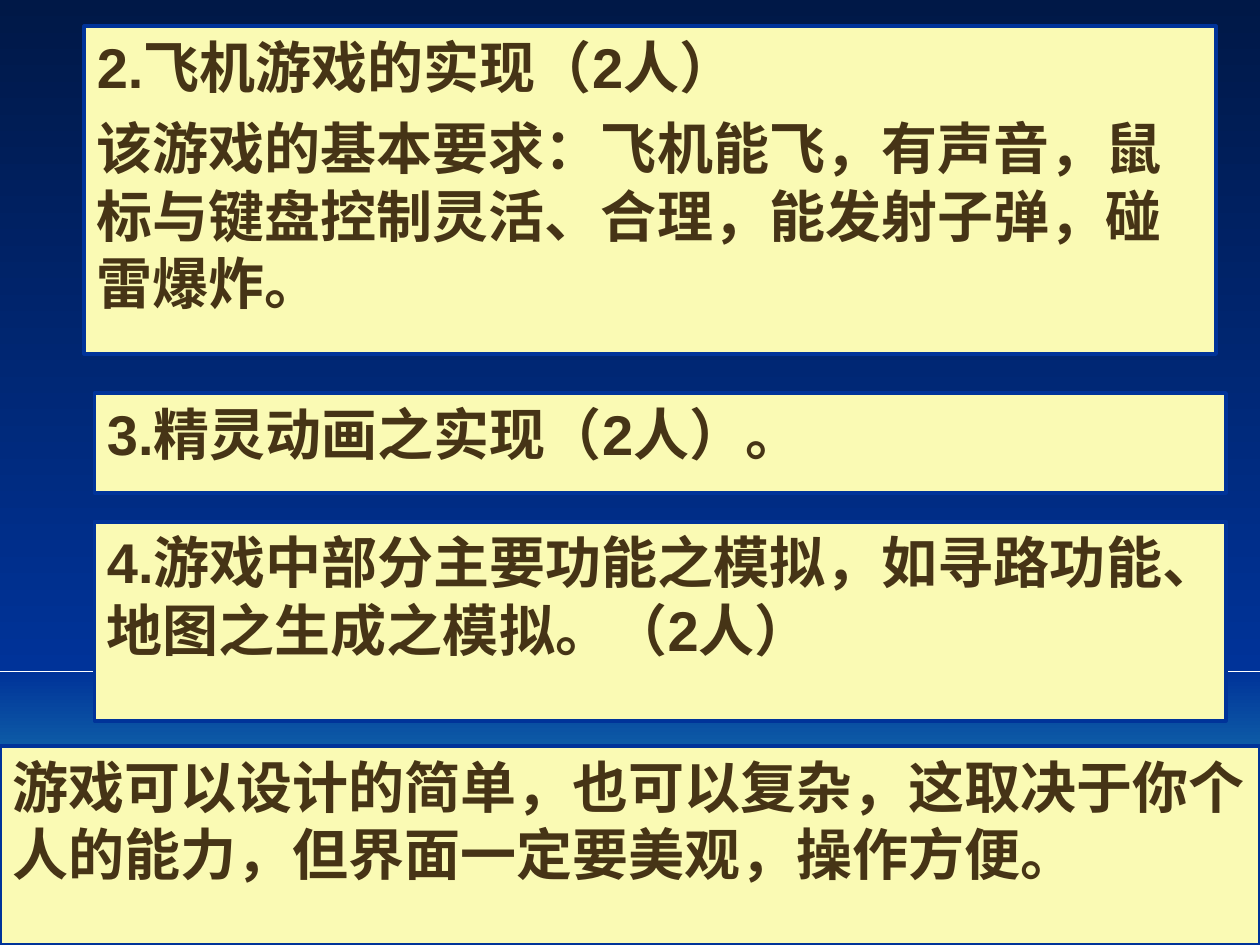
from pptx import Presentation
from pptx.dml.color import RGBColor
from pptx.enum.shapes import MSO_SHAPE
from pptx.enum.text import MSO_ANCHOR, PP_ALIGN
from pptx.util import Inches, Pt

RECTANGLE = MSO_SHAPE.RECTANGLE
TOP = MSO_ANCHOR.TOP
LEFT = PP_ALIGN.LEFT

COLORS = {
    "night": "001847",
    "blue": "003399",
    "turquoise": "33CCCC",
    "cream": "FAFAB4",
    "brown": "463416",
}


def color(name):
    return RGBColor.from_string(COLORS[name])


def add_rectangle(left, top, width, height):
    shape = slide.shapes.add_shape(
        RECTANGLE, Inches(left), Inches(top), Inches(width), Inches(height))
    shape.shadow.inherit = False
    return shape


presentation = Presentation()
presentation.slide_width = Inches(10)
presentation.slide_height = Inches(7.5)
slide = presentation.slides.add_slide(presentation.slide_layouts[6])

# Sky above, sea below: vertical gradients
horizon = 5.33
bands = [
    (0, horizon, "night", "blue"),
    (horizon, 7.5 - horizon, "blue", "turquoise"),
]
for top, height, upper, lower in bands:
    band = add_rectangle(0, top, 10, height)
    band.line.fill.background()
    band.fill.gradient()
    band.fill.gradient_angle = 270
    for stop, name, position in zip(band.fill.gradient_stops, (upper, lower), (0, 1)):
        stop.color.rgb = color(name)
        stop.position = position

# Task boxes and closing remark
boxes = [
    (0.67, 0.21, 8.98, 2.6, [
        "2.飞机游戏的实现（2人）",
        "该游戏的基本要求：飞机能飞，有声音，鼠标与键盘控制灵活、合理，能发射子弹，碰雷爆炸。",
    ]),
    (0.75, 3.12, 8.98, 0.79, ["3.精灵动画之实现（2人）。"]),
    (0.75, 4.14, 8.98, 1.58, [
        "4.游戏中部分主要功能之模拟，如寻路功能、地图之生成之模拟。（2人）",
    ]),
    (0, 5.92, 10, 1.58, [
        "游戏可以设计的简单，也可以复杂，这取决于你个人的能力，但界面一定要美观，操作方便。",
    ]),
]
for left, top, width, height, lines in boxes:
    box = add_rectangle(left, top, width, height)
    box.fill.solid()
    box.fill.fore_color.rgb = color("cream")
    box.line.color.rgb = color("blue")
    box.line.width = Pt(2.25)

    frame = box.text_frame
    frame.word_wrap = True
    frame.vertical_anchor = TOP
    frame.text = "\n".join(lines)
    for paragraph in frame.paragraphs:
        paragraph.alignment = LEFT
        paragraph.space_before = Pt(8)
        paragraph.font.name = "Arial"
        paragraph.font.size = Pt(32)
        paragraph.font.bold = True
        paragraph.font.color.rgb = color("brown")

presentation.save("out.pptx")
